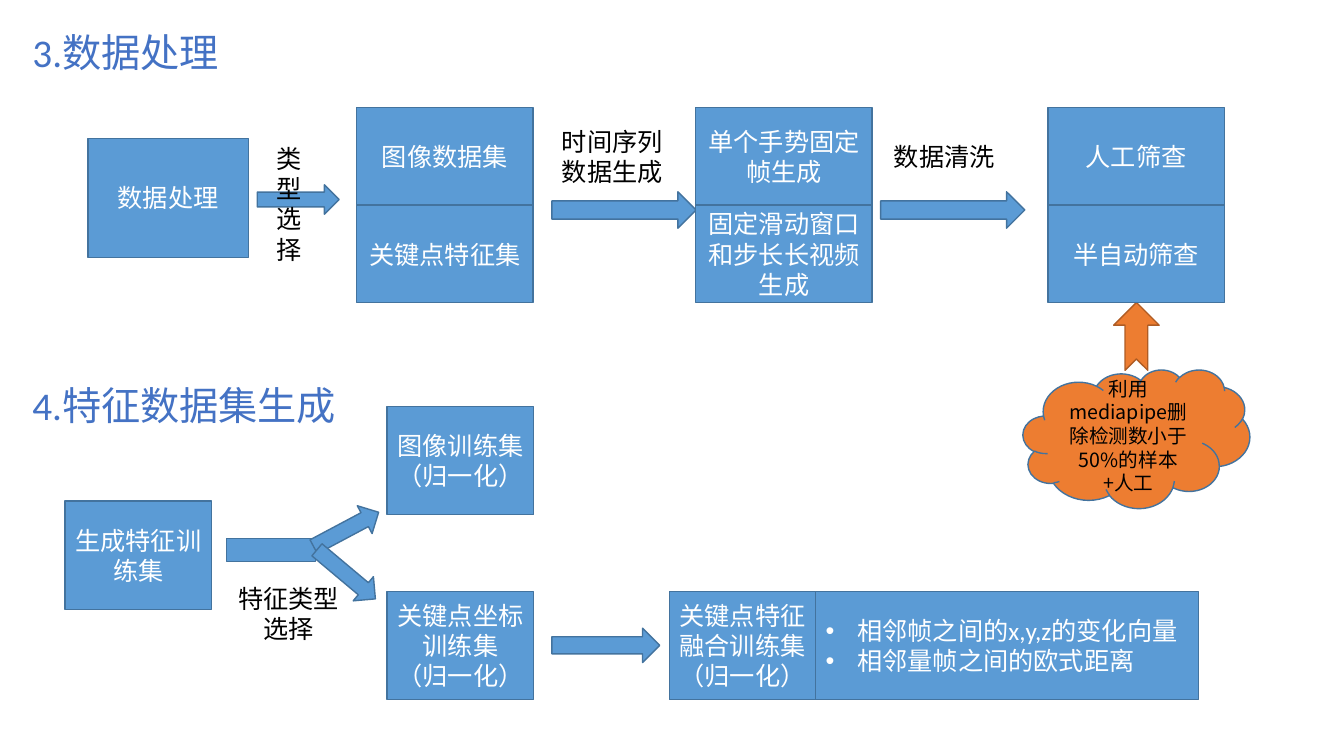
import pptx
import pptx.util
import pptx.dml.color
import pptx.enum.shapes
import pptx.enum.text
import pptx.oxml.ns
import lxml.etree

Pt = pptx.util.Pt
RGBColor = pptx.dml.color.RGBColor
Preset = pptx.enum.shapes.MSO_SHAPE
Align = pptx.enum.text.PP_ALIGN
Anchor = pptx.enum.text.MSO_ANCHOR
AutoSize = pptx.enum.text.MSO_AUTO_SIZE
qn = pptx.oxml.ns.qn

BLUE = RGBColor(0x5B, 0x9B, 0xD5)
BLUE_EDGE = RGBColor(0x43, 0x73, 0x9E)
ORANGE = RGBColor(0xED, 0x7D, 0x31)
ORANGE_EDGE = RGBColor(0xAF, 0x5C, 0x24)
HEADING_BLUE = RGBColor(0x44, 0x72, 0xC4)
WHITE = RGBColor(0xFF, 0xFF, 0xFF)
BLACK = RGBColor(0, 0, 0)
LATIN_FONT, CHINESE_FONT = "Calibri", "Noto Sans CJK SC"

TITLE = ("3.数据处理", (16, 16.5, 166, 41))
SECOND_HEADING = ("4.特征数据集生成", (16, 268.5, 234.5, 41))

# Upper row: pairs of stacked boxes, by left edge
STACK_TOP, STACK_WIDTH, STACK_HEIGHT = 76.75, 126, 69.75
STACKS = [
    (254.75, ["图像数据集", "关键点特征集"]),
    (497, ["单个手势固定帧生成", "固定滑动窗口和步长长视频生成"]),
    (748.5, ["人工筛查", "半自动筛查"]),
]
PROCESSING_BOX = ("数据处理", (62.75, 98.75, 114.75, 85))

# Lower row: boxes of one size, by left and top edge
STEP_WIDTH, STEP_HEIGHT = 104.75, 77.25
BRANCH_LEFT, BRANCH_TOP = 276.5, 422.5
FUSION_LEFT = 478
STEPS = [
    ("生成特征训练集", 46.5, 358),
    ("图像训练集\n（归一化）", BRANCH_LEFT, 290.5),
    ("关键点坐标训练集\n（归一化）", BRANCH_LEFT, BRANCH_TOP),
    ("关键点特征融合训练集\n（归一化）", FUSION_LEFT, BRANCH_TOP),
]
FEATURES = "相邻帧之间的x,y,z的变化向量\n相邻量帧之间的欧式距离"
FEATURES_WIDTH = 273.5

CLOUD = ("利用mediapipe删除检测数小于50%的样本+人工", (730.75, 264, 162, 99))

# preset, (left, top, width, height), rotation
ARROWS = [
    (Preset.RIGHT_ARROW, (183.75, 132, 58.5, 21), 0),
    (Preset.RIGHT_ARROW, (394.25, 137, 103, 26), 0),
    (Preset.RIGHT_ARROW, (629, 137, 103, 26), 0),
    (Preset.RIGHT_ARROW, (394.25, 448.75, 77, 24.5), 0),
    (Preset.RECTANGLE, (162, 384.5, 63.5, 16.5), 0),
    (Preset.UP_ARROW, (236, 352, 22.5, 52.5), 62),
    (Preset.UP_ARROW, (236, 383, 22.5, 54.5), 130),
]
CLOUD_ARROW = (Preset.NOTCHED_RIGHT_ARROW, (787.5, 224, 48.5, 32.5), 270)

LABELS = [
    ("类型选择", (190.5, 98.75, 37.5, 94.5), Align.LEFT),
    ("时间序列数据生成", (394.25, 86.5, 97, 51), Align.LEFT),
    ("数据清洗", (631.5, 97.25, 97, 29), Align.LEFT),
    ("特征类型选择", (162, 413.25, 88.5, 51), Align.CENTER),
]


def frame(bounds):
    return [Pt(length) for length in bounds]


def write(shape, text, size, color, align, anchor, font=LATIN_FONT):
    text_frame = shape.text_frame
    text_frame.word_wrap = True
    text_frame.vertical_anchor = anchor
    for index, line in enumerate(text.split("\n")):
        paragraph = text_frame.add_paragraph() if index else text_frame.paragraphs[0]
        paragraph.alignment = align
        run = paragraph.add_run()
        run.text = line
        for name, value in {"size": Pt(size), "name": font}.items():
            setattr(run.font, name, value)
        run.font.color.rgb = color
        east_asian = lxml.etree.SubElement(run.font._element, qn("a:ea"))
        east_asian.set("typeface", CHINESE_FONT)


def add_block(slide, preset, bounds, rotation=0, fill=BLUE, edge=BLUE_EDGE):
    shape = slide.shapes.add_shape(preset, *frame(bounds))
    shape.rotation = rotation
    shape.shadow.inherit = False
    shape.fill.solid()
    shape.fill.fore_color.rgb = fill
    shape.line.color.rgb = edge
    shape.line.width = Pt(1)
    return shape


def add_box(slide, text, bounds, align=Align.CENTER):
    box = add_block(slide, Preset.RECTANGLE, bounds)
    write(box, text, 18, WHITE, align, Anchor.MIDDLE)
    return box


def add_label(slide, text, bounds, size=18, color=BLACK, align=Align.LEFT):
    label = slide.shapes.add_textbox(*frame(bounds))
    write(label, text, size, color, align, Anchor.TOP)
    label.text_frame.auto_size = AutoSize.SHAPE_TO_FIT_TEXT


def add_bullets(shape):
    for paragraph in shape.text_frame.paragraphs:
        properties = paragraph._p.get_or_add_pPr()
        properties.set("marL", str(Pt(22.5)))
        properties.set("indent", str(-Pt(22.5)))
        font = lxml.etree.SubElement(properties, qn("a:buFont"))
        font.set("typeface", "Arial")
        bullet = lxml.etree.SubElement(properties, qn("a:buChar"))
        bullet.set("char", "•")


def main():
    presentation = pptx.Presentation()
    presentation.slide_width, presentation.slide_height = Pt(960), Pt(540)
    slide = presentation.slides.add_slide(presentation.slide_layouts[5])

    text, bounds = TITLE
    title = slide.shapes.title
    title.left, title.top, title.width, title.height = frame(bounds)
    write(title, text, 28, HEADING_BLUE, Align.LEFT, Anchor.TOP)
    title.text_frame.auto_size = AutoSize.SHAPE_TO_FIT_TEXT
    add_label(slide, *SECOND_HEADING, size=28, color=HEADING_BLUE)

    for arrow in ARROWS:
        add_block(slide, *arrow)
    add_block(slide, *CLOUD_ARROW, fill=ORANGE, edge=ORANGE_EDGE)

    add_box(slide, *PROCESSING_BOX)
    for left, texts in STACKS:
        for row, text in enumerate(texts):
            top = STACK_TOP + row * STACK_HEIGHT
            add_box(slide, text, (left, top, STACK_WIDTH, STACK_HEIGHT))
    for text, left, top in STEPS:
        add_box(slide, text, (left, top, STEP_WIDTH, STEP_HEIGHT))
    features_bounds = (FUSION_LEFT + STEP_WIDTH, BRANCH_TOP, FEATURES_WIDTH, STEP_HEIGHT)
    add_bullets(add_box(slide, FEATURES, features_bounds, Align.LEFT))

    text, bounds = CLOUD
    cloud = add_block(slide, Preset.CLOUD, bounds, fill=ORANGE)
    write(cloud, text, 14, BLACK, Align.CENTER, Anchor.MIDDLE, CHINESE_FONT)

    for text, bounds, align in LABELS:
        add_label(slide, text, bounds, align=align)

    presentation.save("out.pptx")


if __name__ == "__main__":
    main()
